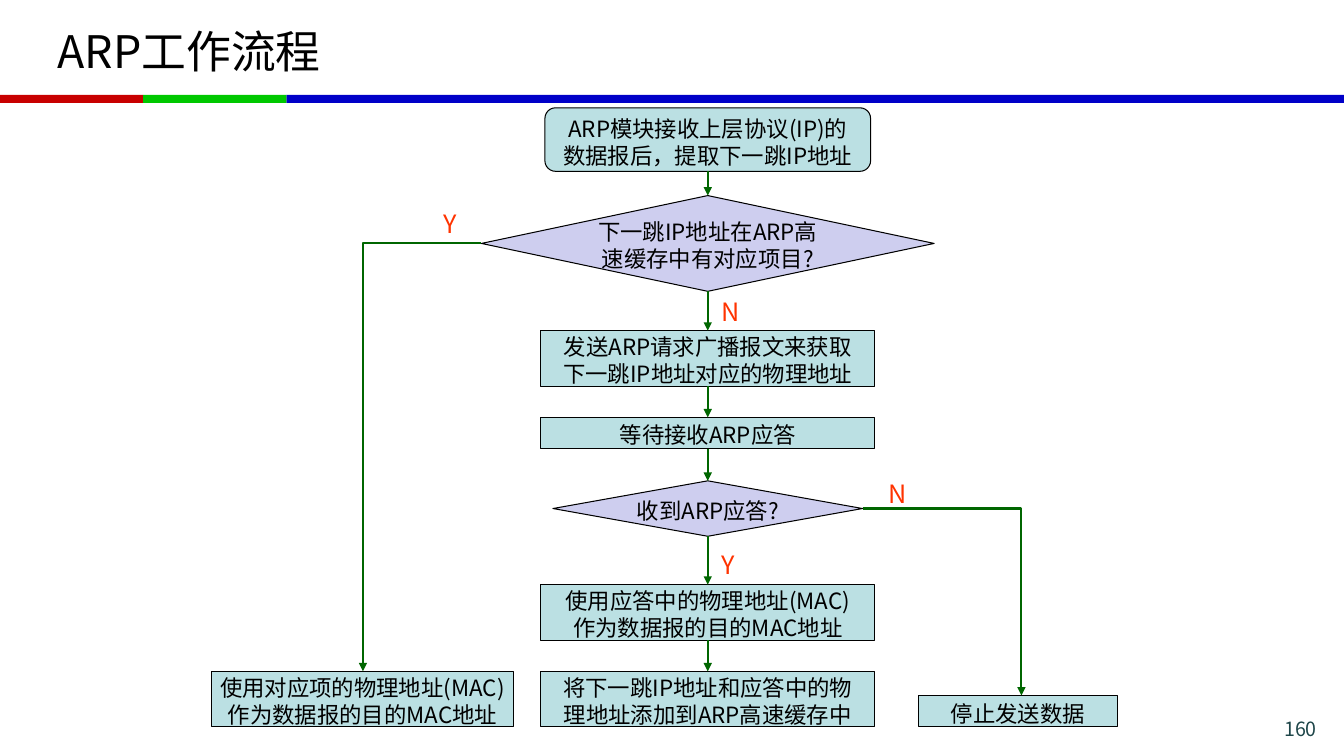
from itertools import pairwise

from lxml.etree import SubElement
from pptx import Presentation
from pptx.dml.color import RGBColor
from pptx.enum.shapes import MSO_CONNECTOR as CONN, MSO_SHAPE as SHAPE
from pptx.enum.text import MSO_ANCHOR as ANCHOR, PP_ALIGN as ALIGN
from pptx.oxml.ns import qn
from pptx.util import Inches, Pt

FONT = "Noto Sans CJK SC"
COLORS = {
    "black": "000000", "red": "C80000", "green": "00C800", "blue": "0000C8",
    "step": "BBE0E3", "decision": "CECEEF", "arrow": "006600",
    "label": "FF3300", "page": "1E4649",
}
STEPS = [
    (SHAPE.ROUNDED_RECTANGLE, 0, 3.23, 0.63,
     ["ARP模块接收上层协议(IP)的", "数据报后，提取下一跳IP地址"]),
    (SHAPE.DIAMOND, 0.87, 4.49, 0.95,
     ["下一跳IP地址在ARP高", "速缓存中有对应项目?"]),
    (SHAPE.RECTANGLE, 2.21, 3.31, 0.55,
     ["发送ARP请求广播报文来获取", "下一跳IP地址对应的物理地址"]),
    (SHAPE.RECTANGLE, 3.07, 3.31, 0.31, ["等待接收ARP应答"]),
    (SHAPE.DIAMOND, 3.7, 3.07, 0.55, ["收到ARP应答?"]),
    (SHAPE.RECTANGLE, 4.73, 3.31, 0.55,
     ["使用应答中的物理地址(MAC)", "作为数据报的目的MAC地址"]),
    (SHAPE.RECTANGLE, 5.59, 3.31, 0.55,
     ["将下一跳IP地址和应答中的物", "理地址添加到ARP高速缓存中"]),
]
CACHED = ["使用对应项的物理地址(MAC)", "作为数据报的目的MAC地址"]
STOPPED = ["停止发送数据"]
LABELS = [("Y", 2.2, 0.95), ("N", 4.96, 1.82), ("N", 6.61, 3.63), ("Y", 4.96, 4.33)]


def rgb(name):
    """Return the named colour."""
    return RGBColor.from_string(COLORS[name])


def write(tf, lines, size, color, align=ALIGN.LEFT, spacing=None):
    """Write one paragraph per line of text."""
    for i, line in enumerate(lines):
        p = tf.add_paragraph() if i else tf.paragraphs[0]
        p.alignment = align
        if spacing:
            p.line_spacing = Pt(spacing)
        r = p.add_run()
        r.text = line
        r.font.size = Pt(size)
        r.font.color.rgb = rgb(color)
        r.font.name = FONT
        SubElement(r._r.get_or_add_rPr(), qn("a:ea"), typeface=FONT)


def add_text(s, x, y, w, h, text, size, color, **kwargs):
    """Add a one-line text box and return its frame."""
    tf = s.shapes.add_textbox(Inches(x), Inches(y), Inches(w), Inches(h)).text_frame
    write(tf, [text], size, color, **kwargs)
    return tf


def add_block(s, kind, x, y, w, h, fill):
    """Add a filled shape without an outline."""
    sp = s.shapes.add_shape(kind, Inches(x), Inches(y), Inches(w), Inches(h))
    sp.shadow.inherit = False
    sp.fill.solid()
    sp.fill.fore_color.rgb = rgb(fill)
    sp.line.fill.background()
    return sp


def add_step(s, kind, x, y, w, h, lines):
    """Add an outlined flowchart step with centred text."""
    sp = add_block(s, kind, x, y, w, h,
                   "decision" if kind == SHAPE.DIAMOND else "step")
    sp.line.color.rgb = rgb("black")
    sp.line.width = Pt(0.75)
    tf = sp.text_frame
    tf.word_wrap = False
    tf.vertical_anchor = ANCHOR.MIDDLE
    tf.margin_left = tf.margin_right = tf.margin_bottom = 0
    tf.margin_top = Inches(0.04)
    write(tf, lines, 16, "black", ALIGN.CENTER, 19.3)


def style_arrow(sp):
    """Colour a line and give its end a triangle."""
    sp.line.color.rgb = rgb("arrow")
    sp.line.width = Pt(1.5)
    SubElement(sp.line._get_or_add_ln(), qn("a:tailEnd"), type="triangle")


def add_arrow(s, x, y1, y2):
    """Add a straight arrow pointing down."""
    c = s.shapes.add_connector(CONN.STRAIGHT, Inches(x), Inches(y1), Inches(x), Inches(y2))
    style_arrow(c)
    SubElement(c._element.spPr, qn("a:effectLst"))


def add_branch(s, x1, y1, x2, y2):
    """Add an arrow going sideways and then down."""
    fb = s.shapes.build_freeform(Inches(x1), Inches(y1))
    fb.add_line_segments([(Inches(x2), Inches(y1)), (Inches(x2), Inches(y2))], close=False)
    sp = fb.convert_to_shape()
    sp.shadow.inherit = False
    sp.fill.background()
    style_arrow(sp)


def draw_header(s, x, y, w, h):
    """Draw the title above the tricolour rule."""
    rule, part = 0.08, 1.42
    top = y + h - rule
    for fill, dx, width in [("blue", 2 * part, w - 2 * part),
                            ("red", 0, part), ("green", part, part)]:
        add_block(s, SHAPE.RECTANGLE, x + dx, top, width, rule, fill)
    tf = add_text(s, x + 0.47, y + 0.08, w - 0.94, 0.84, "ARP工作流程", 32, "black")
    tf.word_wrap = True
    tf.vertical_anchor = ANCHOR.MIDDLE


def draw_flow(s, x, y, w, h):
    """Draw the ARP flowchart."""
    axis, bottom = x + 4.92, y + h
    for kind, dy, width, height, lines in STEPS:
        add_step(s, kind, axis - width / 2, y + dy, width, height, lines)
    for (_, dy, _, height, _), (_, below, *_) in pairwise(STEPS):
        add_arrow(s, axis, y + dy + height, y + below)

    for step, side, left, width, height, drop, lines in [
        (STEPS[1], -1, x, 2.99, 0.55, x + 1.5, CACHED),
        (STEPS[4], 1, x + w - 1.97, 1.97, 0.31, x + 8.03, STOPPED),
    ]:
        _, dy, span, tall, _ = step
        add_step(s, SHAPE.RECTANGLE, left, bottom - height, width, height, lines)
        add_branch(s, axis + side * span / 2, y + dy + tall / 2, drop, bottom - height)

    for text, dx, dy in LABELS:
        tf = add_text(s, x + dx, y + dy, 0.39, 0.4, text, 18, "label", spacing=21.6)
        tf.word_wrap = False


def draw_page_number(s, x, y, w, h):
    """Draw the page number."""
    tf = add_text(s, x, y, w, h, "160", 14, "page", align=ALIGN.RIGHT, spacing=16.8)
    tf.word_wrap = True


def main():
    """Build the slide and save it."""
    prs = Presentation()
    prs.slide_width, prs.slide_height = Inches(13.33), Inches(7.5)
    s = prs.slides.add_slide(prs.slide_layouts[6])
    draw_header(s, 0, 0, 13.33, 1.02)
    draw_flow(s, 2.1, 1.07, 8.98, 6.14)
    draw_page_number(s, 11.86, 7.06, 1.3, 0.28)
    prs.save("out.pptx")


if __name__ == "__main__":
    main()
